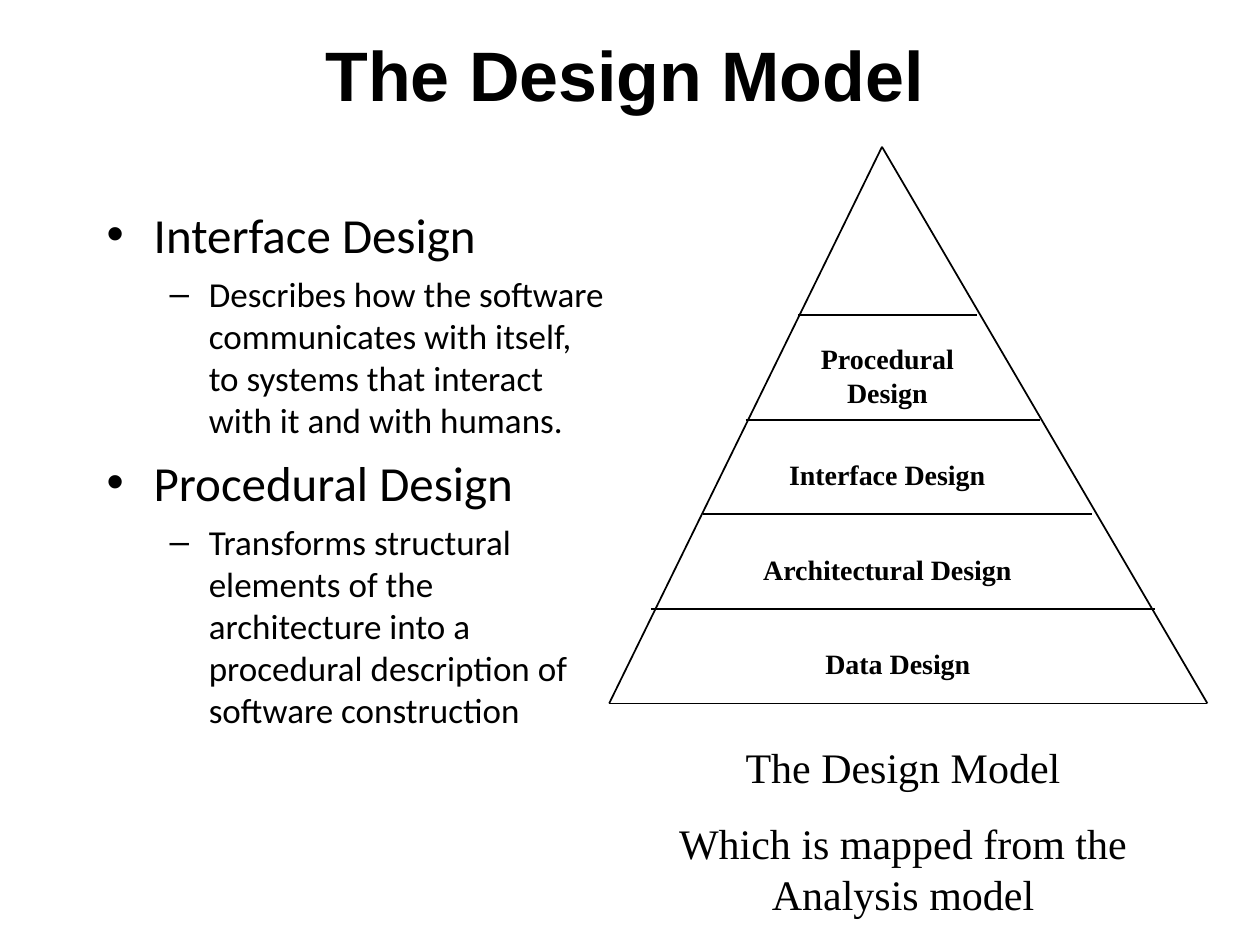
from lxml.etree import SubElement
from pptx import Presentation
from pptx.dml.color import RGBColor
from pptx.enum.shapes import MSO_CONNECTOR
from pptx.enum.text import MSO_ANCHOR, PP_ALIGN
from pptx.oxml.ns import qn
from pptx.util import Cm, Pt

# Content
BLACK = "000000"
TITLE = "The Design Model"
TOPICS = [
    ("Interface Design",
     "Describes how the software communicates with itself, to systems that "
     "interact with it and with humans."),
    ("Procedural Design",
     "Transforms structural elements of the architecture into a procedural "
     "description of software construction"),
]
CAPTION = ["The Design Model", "Which is mapped from the Analysis model"]

# Pyramid, in cm: corners, dividers (left, right, y), labels (text, left, top, width)
APEX, BASE_LEFT, BASE_RIGHT = (17.78, 2.96), (12.28, 14.18), (24.34, 14.18)
DIVIDERS = [
    (16.09, 19.69, 6.35),
    (15.03, 20.96, 8.47),
    (14.18, 22.01, 10.37),
    (13.12, 23.28, 12.28),
]
LABELS = [
    ("Procedural Design", 16.09, 6.77, 3.6),
    ("Interface Design", 15.45, 9.1, 4.87),
    ("Architectural Design", 14.61, 11.01, 6.56),
    ("Data Design", 13.55, 12.91, 9.1),
]

# Bullet levels: sign, text size, space before, left edge in cm, hang in cm
HEADING = ("•", 28, 7, 0.95, 0.95)
DETAIL = ("–", 20, 5, 2.06, 0.79)


def colour(hex_code):
    return RGBColor.from_string(hex_code)


def add_run(paragraph, text, size, font, bold=False):
    run = paragraph.add_run()
    run.text = text
    run.font.size = Pt(size)
    run.font.name = font
    run.font.bold = bold
    run.font.color.rgb = colour(BLACK)


def add_frame(slide, left, top, width, height):
    frame = slide.shapes.add_textbox(
        Cm(left), Cm(top), Cm(width), Cm(height)).text_frame
    frame.word_wrap = True
    return frame


def next_paragraph(frame, space_before):
    """Use the empty first paragraph, then add spaced ones."""
    first = frame.paragraphs[0]
    if not first.runs:
        return first
    paragraph = frame.add_paragraph()
    paragraph.space_before = Pt(space_before)
    return paragraph


def add_bullet(frame, text, level):
    sign, size, space_before, indent, hang = level
    paragraph = next_paragraph(frame, space_before)
    properties = paragraph._p.get_or_add_pPr()
    properties.set("marL", str(Cm(indent)))
    properties.set("indent", str(-Cm(hang)))
    SubElement(properties, qn("a:buFont"), typeface="Arial")
    SubElement(properties, qn("a:buChar"), char=sign)
    add_run(paragraph, text, size, "Calibri")


def add_centred(frame, text, size, space_before=0, bold=False):
    paragraph = next_paragraph(frame, space_before)
    paragraph.alignment = PP_ALIGN.CENTER
    add_run(paragraph, text, size, "Times New Roman", bold)


def add_line(slide, start, end):
    line = slide.shapes.add_connector(
        MSO_CONNECTOR.STRAIGHT, *(Cm(value) for value in start + end))
    line.line.color.rgb = colour(BLACK)
    line.line.width = Pt(1)
    SubElement(line._element.spPr, qn("a:effectLst"))


def main():
    deck = Presentation()
    deck.slide_width, deck.slide_height = Cm(25.4), Cm(19.05)
    slide = deck.slides.add_slide(deck.slide_layouts[5])

    # Title
    title = slide.shapes.title
    title.left, title.top = Cm(1.69), Cm(0.85)
    title.width, title.height = Cm(21.8), Cm(1.27)
    title.text_frame.vertical_anchor = MSO_ANCHOR.MIDDLE
    heading = title.text_frame.paragraphs[0]
    heading.alignment = PP_ALIGN.CENTER
    add_run(heading, TITLE, 40, "Arial", True)

    # Topics
    topics = add_frame(slide, 1.9, 4, 10.6, 12.9)
    for topic, explanation in TOPICS:
        add_bullet(topics, topic, HEADING)
        add_bullet(topics, explanation, DETAIL)

    # Pyramid
    for start, end in [(APEX, BASE_RIGHT), (APEX, BASE_LEFT),
                       (BASE_LEFT, BASE_RIGHT)]:
        add_line(slide, start, end)
    for left, right, y in DIVIDERS:
        add_line(slide, (left, y), (right, y))
    for text, left, top, width in LABELS:
        add_centred(add_frame(slide, left, top, width, 0.94), text, 16, bold=True)

    # Caption
    caption = add_frame(slide, 12.28, 14.82, 11.85, 3.84)
    for text in CAPTION:
        add_centred(caption, text, 24, space_before=15)

    deck.save("out.pptx")


if __name__ == "__main__":
    main()
